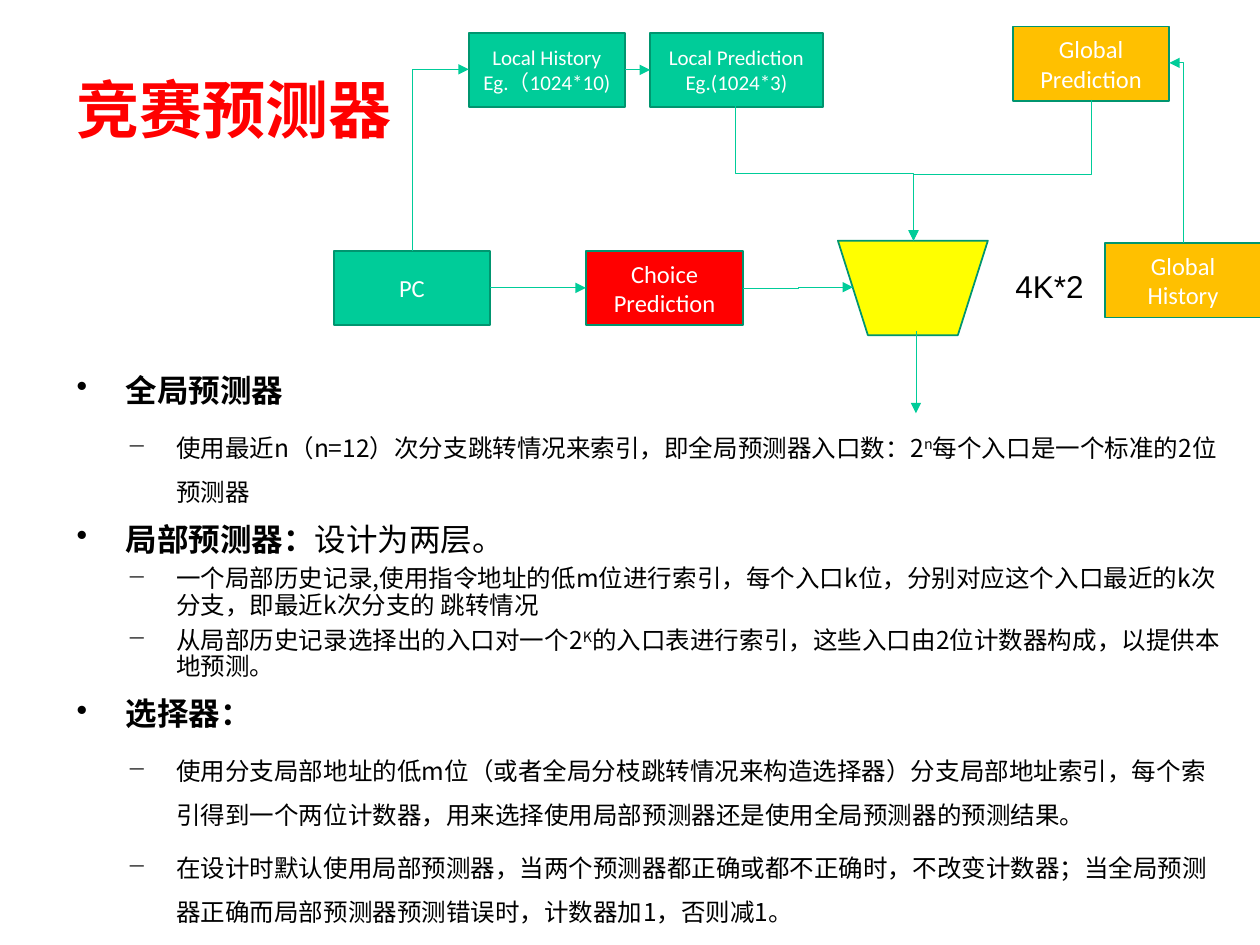
import pptx
import pptx.dml.color
import pptx.enum.shapes
import pptx.enum.text
import pptx.oxml.ns
import pptx.util
from lxml import etree
from pptx.util import Inches

CJK = "Noto Sans CJK SC"
GREEN, AMBER, RED, YELLOW = "00CC99", "FFC000", "FF0000", "FFFF00"
OUTLINE, WHITE, BLACK = "00956F", "FFFFFF", "000000"

TITLE = "竞赛预测器"

# name: (left, top, width, fill, font size, lines)
BOX_HEIGHT = 0.59
BOXES = {
    "local history": (3.72, 0.26, 1.24, GREEN, 12, ["Local History", "Eg.（1024*10)"]),
    "global prediction": (8.04, 0.21, 1.24, AMBER, 14, ["Global Prediction"]),
    "local prediction": (5.16, 0.26, 1.37, GREEN, 12, ["Local Prediction", "Eg.(1024*3)"]),
    "choice": (4.65, 1.99, 1.25, RED, 14, ["Choice Prediction"]),
    "global history": (8.77, 1.93, 1.24, AMBER, 14, ["Global History"]),
    "pc": (2.65, 1.99, 1.24, GREEN, 14, ["PC"]),
}

# Elbows that leave vertically: (start, end, preset, bend position)
VERTICAL_ELBOWS = [
    ((9.39, 1.93), (9.28, 0.5), "bentConnector2", None),
    ((3.27, 1.99), (3.72, 0.55), "bentConnector2", None),
    ((8.66, 0.79), (7.25, 1.91), "bentConnector3", 0.53),
    ((5.84, 0.84), (7.25, 1.91), "bentConnector3", 0.5),
]
STRAIGHT_LINKS = [("pc", "choice"), ("local history", "local prediction")]

# (level, line spacing, [(text, style)]) with style b = bold, s = superscript
BODY = [
    (0, 0.9, [("全局预测器", "b")]),
    (1, 1.5, [("使用最近n（n=12）次分支跳转情况来索引，即全局预测器入口数：2", ""),
              ("n", "s"), ("每个入口是一个标准的2位预测器", "")]),
    (0, 0.9, [("局部预测器：", "b"), ("设计为两层。", "")]),
    (1, 0.9, [("一个局部历史记录,使用指令地址的低m位进行索引，每个入口k位，"
               "分别对应这个入口最近的k次分支，即最近k次分支的 跳转情况", "")]),
    (1, 0.9, [("从局部历史记录选择出的入口对一个2", ""), ("K", "s"),
              ("的入口表进行索引，这些入口由2位计数器构成，以提供本地预测。", "")]),
    (0, 0.9, [("选择器：", "b")]),
    (1, 1.5, [("使用分支局部地址的低m位（或者全局分枝跳转情况来构造选择器）"
               "分支局部地址索引，每个索引得到一个两位计数器，"
               "用来选择使用局部预测器还是使用全局预测器的预测结果。", "")]),
    (1, 1.5, [("在设计时默认使用局部预测器，当两个预测器都正确或都不正确时，"
               "不改变计数器；当全局预测器正确而局部预测器预测错误时，"
               "计数器加1，否则减1。", "")]),
]
# level: (bullet, font size, space before, left margin)
LEVELS = [("•", 18, 10, 0.39), ("−", 14, 5, 0.79)]
HANGING = 0.39


def color(value):
    return pptx.dml.color.RGBColor.from_string(value)


def add_xml(parent, tag, **attributes):
    element = etree.SubElement(parent, pptx.oxml.ns.qn(tag))
    for key, value in attributes.items():
        element.set(key, value)
    return element


def style_run(run, size, font_name, font_color, bold=False):
    run.font.size = pptx.util.Pt(size)
    run.font.name = font_name
    run.font.bold = bold
    run.font.color.rgb = color(font_color)
    if font_name == CJK:
        add_xml(run._r.get_or_add_rPr(), "a:ea", typeface=CJK)


def add_text_box(slide, left, top, width, height, wrap=True):
    box = slide.shapes.add_textbox(*map(Inches, (left, top, width, height)))
    box.text_frame.word_wrap = wrap
    return box.text_frame


def add_block(slide, preset, left, top, width, height, fill):
    shape = slide.shapes.add_shape(preset, *map(Inches, (left, top, width, height)))
    shape.shadow.inherit = False
    shape.fill.solid()
    shape.fill.fore_color.rgb = color(fill)
    shape.line.color.rgb = color(OUTLINE)
    shape.line.width = pptx.util.Pt(1)
    return shape


def add_arrow(slide, kind, start, end):
    arrow = slide.shapes.add_connector(kind, *map(Inches, start + end))
    arrow.line.color.rgb = color(GREEN)
    arrow.line.width = pptx.util.Pt(0.5)
    add_xml(arrow.line._get_or_add_ln(), "a:tailEnd", type="triangle")
    add_xml(arrow._element.spPr, "a:effectLst")
    return arrow


def turn_elbow(arrow, start, end, preset, bend):
    """Rotate an elbow so that its first leg is vertical."""
    dx, dy = end[0] - start[0], end[1] - start[1]
    width, height = abs(dy), abs(dx)
    arrow.left = Inches((start[0] + end[0] - width) / 2)
    arrow.top = Inches((start[1] + end[1] - height) / 2)
    arrow.width, arrow.height = Inches(width), Inches(height)
    properties = arrow._element.spPr
    frame = properties.find(pptx.oxml.ns.qn("a:xfrm"))
    frame.set("rot", str((90 if dy > 0 else 270) * 60000))
    frame.set("flipH", "0")
    frame.set("flipV", "1" if (dx > 0) == (dy > 0) else "0")
    geometry = properties.find(pptx.oxml.ns.qn("a:prstGeom"))
    geometry.set("prst", preset)
    if bend is not None:
        adjustments = geometry.find(pptx.oxml.ns.qn("a:avLst"))
        add_xml(adjustments, "a:gd", name="adj1", fmla=f"val {round(bend * 100000)}")


def add_body(slide):
    text_frame = add_text_box(slide, 0.51, 2.93, 9.29, 4.57)
    for index, (level, spacing, pieces) in enumerate(BODY):
        bullet, size, space, margin = LEVELS[level]
        paragraph = text_frame.add_paragraph() if index else text_frame.paragraphs[0]
        properties = paragraph._p.get_or_add_pPr()
        properties.set("marL", str(Inches(margin)))
        properties.set("indent", str(-Inches(HANGING)))
        add_xml(add_xml(properties, "a:buClr"), "a:srgbClr", val=BLACK)
        add_xml(properties, "a:buChar", char=bullet)
        paragraph.level = level
        paragraph.line_spacing = spacing
        paragraph.space_before = pptx.util.Pt(space if index else 0)
        for text, style in pieces:
            run = paragraph.add_run()
            run.text = text
            style_run(run, size, CJK, BLACK, style == "b")
            if style == "s":
                run._r.get_or_add_rPr().set("baseline", "30000")


def add_diagram(slide):
    presets = pptx.enum.shapes.MSO_SHAPE
    connectors = pptx.enum.shapes.MSO_CONNECTOR
    boxes = {}
    for name, (left, top, width, fill, size, lines) in BOXES.items():
        shape = add_block(slide, presets.RECTANGLE, left, top, width, BOX_HEIGHT, fill)
        shape.text_frame.text = "\n".join(lines)
        shape.text_frame.vertical_anchor = pptx.enum.text.MSO_ANCHOR.MIDDLE
        for paragraph in shape.text_frame.paragraphs:
            paragraph.alignment = pptx.enum.text.PP_ALIGN.CENTER
            style_run(paragraph.runs[0], size, "Calibri", WHITE)
        boxes[name] = shape
    add_block(slide, presets.FLOWCHART_MANUAL_OPERATION, 6.65, 1.91, 1.19, 0.75, YELLOW)

    # Arrows between the boxes
    for source, target in STRAIGHT_LINKS:
        arrow = add_arrow(slide, connectors.STRAIGHT, (0, 0), (1, 1))
        arrow.begin_connect(boxes[source], 3)
        arrow.end_connect(boxes[target], 1)
    for start, end, preset, bend in VERTICAL_ELBOWS:
        arrow = add_arrow(slide, connectors.ELBOW, start, end)
        turn_elbow(arrow, start, end, preset, bend)

    # Arrows into and out of the selector
    add_arrow(slide, connectors.ELBOW, (5.9, 2.29), (6.77, 2.28))
    add_arrow(slide, connectors.STRAIGHT, (7.27, 2.63), (7.27, 3.28))


def main():
    presentation = pptx.Presentation()
    presentation.slide_width, presentation.slide_height = Inches(10), Inches(7.5)
    slide = presentation.slides.add_slide(presentation.slide_layouts[6])

    # Title
    title = add_text_box(slide, 0.51, 0.4, 9.06, 0.99)
    title.vertical_anchor = pptx.enum.text.MSO_ANCHOR.MIDDLE
    title.text = TITLE
    title.paragraphs[0].line_spacing = 0.9
    style_run(title.paragraphs[0].runs[0], 36, CJK, RED, True)

    add_body(slide)
    add_diagram(slide)

    # Size of the global history table
    label = add_text_box(slide, 7.96, 2.07, 0.74, 0.4, wrap=False)
    label.text = "4K*2"
    style_run(label.paragraphs[0].runs[0], 18, "Arial", BLACK)

    presentation.save("out.pptx")


if __name__ == "__main__":
    main()
